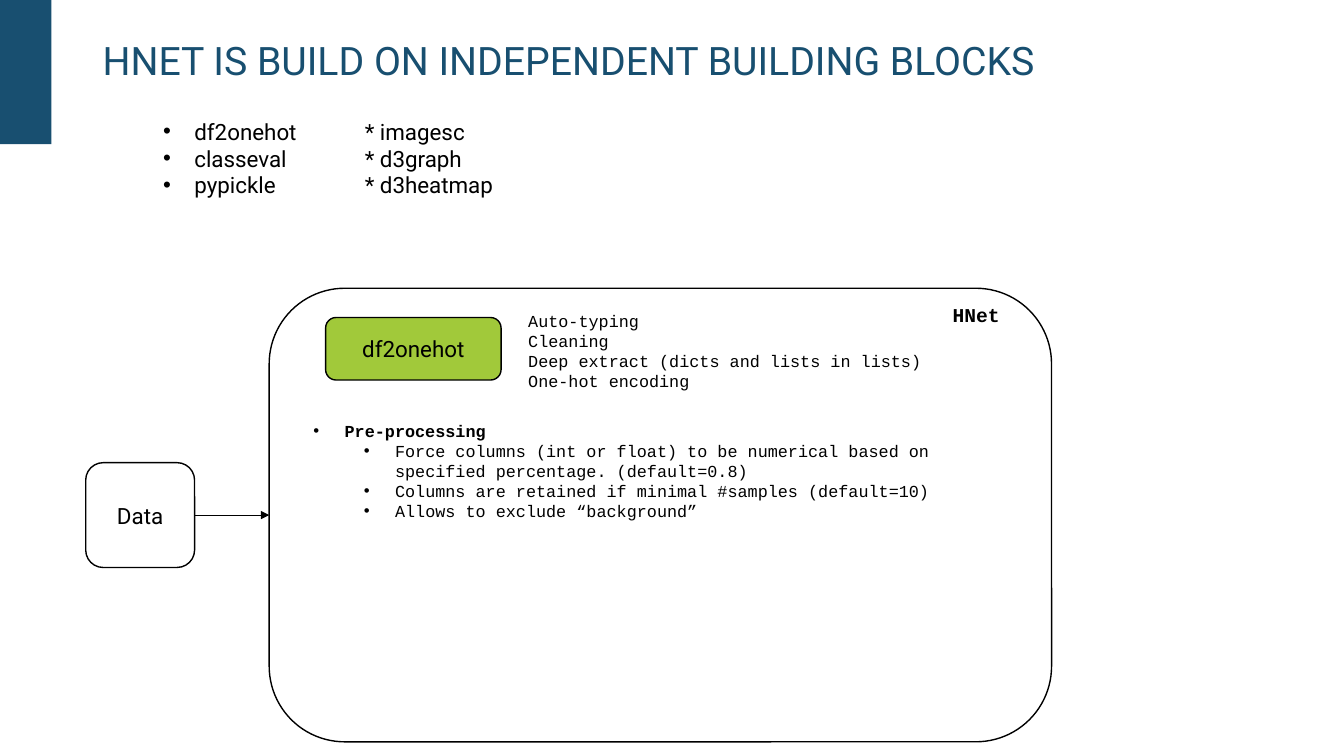
from lxml import etree
from pptx import Presentation
from pptx.dml.color import RGBColor
from pptx.enum.shapes import MSO_CONNECTOR, MSO_SHAPE
from pptx.enum.text import MSO_ANCHOR, PP_ALIGN
from pptx.oxml.ns import qn
from pptx.util import Inches, Pt

RECT, ROUND = MSO_SHAPE.RECTANGLE, MSO_SHAPE.ROUNDED_RECTANGLE
STRAIGHT = MSO_CONNECTOR.STRAIGHT
TOP, MIDDLE = MSO_ANCHOR.TOP, MSO_ANCHOR.MIDDLE
LEFT, CENTER = PP_ALIGN.LEFT, PP_ALIGN.CENTER
BLUE = RGBColor(0x18, 0x4F, 0x70)
GREEN = RGBColor(0xA1, 0xC9, 0x3A)
BLACK = RGBColor(0, 0, 0)
SANS, MONO = "Roboto", "Courier New"

PACKAGES = [("df2onehot", "imagesc"), ("classeval", "d3graph"), ("pypickle", "d3heatmap")]
FEATURES = ["Auto-typing", "Cleaning", "Deep extract (dicts and lists in lists)",
            "One-hot encoding"]
PREPROCESSING = [
    "Force columns (int or float) to be numerical based on specified percentage. (default=0.8)",
    "Columns are retained if minimal #samples (default=10)",
    "Allows to exclude “background”",
]


def add_run(p, text, size, font, color=BLACK, bold=False):
    """Add one formatted run to a paragraph."""
    r = p.add_run()
    r.text = text
    r.font.size = Pt(size)
    r.font.name = font
    r.font.color.rgb = color
    r.font.bold = bold


def set_bullet(p, level):
    """Give a paragraph a hanging bullet for its level."""
    p.level = level
    pPr = p._p.get_or_add_pPr()
    pPr.set("marL", str(Inches(0.31 + 0.5 * level)))
    pPr.set("indent", str(Inches(-0.31)))
    etree.SubElement(pPr, qn("a:buFont"), typeface="Arial")
    etree.SubElement(pPr, qn("a:buChar"), char="•")


def add_text(s, box, lines, size, font, color=BLACK, bold=False, levels=None, anchor=TOP):
    """Add a text box of lines, bulleted when levels are given."""
    tf = s.shapes.add_textbox(*map(Inches, box)).text_frame
    tf.word_wrap = True
    tf.vertical_anchor = anchor
    for i, line in enumerate(lines):
        p = tf.paragraphs[0] if i == 0 else tf.add_paragraph()
        p.alignment = LEFT
        if levels:
            set_bullet(p, levels[i])
        add_run(p, line, size, font, color, bold or (levels is not None and levels[i] == 0))
    return tf


def add_block(s, box, kind=ROUND, fill=None, line=BLACK, label=None):
    """Add a shape with an optional fill, outline and centred label."""
    sp = s.shapes.add_shape(kind, *map(Inches, box))
    sp.shadow.inherit = False
    if fill is None:
        sp.fill.background()
    else:
        sp.fill.solid()
        sp.fill.fore_color.rgb = fill
    if line is None:
        sp.line.fill.background()
    else:
        sp.line.color.rgb = line
        sp.line.width = Pt(1)
    if label:
        sp.text_frame.vertical_anchor = MIDDLE
        p = sp.text_frame.paragraphs[0]
        p.alignment = CENTER
        add_run(p, label, 16, SANS)
    return sp


def add_arrow(s, start, end):
    """Add a thin arrow between two points."""
    c = s.shapes.add_connector(STRAIGHT, *map(Inches, (*start, *end)))
    c.line.color.rgb = BLACK
    c.line.width = Pt(0.5)
    etree.SubElement(c.line._get_or_add_ln(), qn("a:tailEnd"), type="triangle")
    etree.SubElement(c._element.spPr, qn("a:effectLst"))


def add_header(s, x, y, w, h):
    """Add the corner bar and the slide title."""
    add_block(s, (x, y, 0.51, h), RECT, BLUE, None)
    tf = add_text(s, (x + 0.92, y + 0.28, w - 1.83, 0.69),
                  ["HNET IS BUILD ON INDEPENDENT BUILDING BLOCKS"], 28, SANS, BLUE, anchor=MIDDLE)
    tf.paragraphs[0].line_spacing = 0.9


def add_packages(s, x, y, w, h):
    """Add the list of packages in two tabbed columns."""
    lines = [f"{first}\t\t* {second}" for first, second in PACKAGES]
    add_text(s, (x, y, w, h), lines, 16, SANS, levels=[1] * len(lines))


def add_hnet(s, x, y, w, h):
    """Add the HNet frame with its first building block."""
    add_block(s, (x, y, w, h))
    add_block(s, (x + 0.56, y + 0.29, 1.74, 0.62), fill=GREEN, label="df2onehot")
    add_text(s, (x + 2.47, y + 0.17, 5.01, 0.91), FEATURES, 12, MONO)
    add_text(s, (x + 0.34, y + 1.26, 7.08, 1.11), ["Pre-processing", *PREPROCESSING],
             12, MONO, levels=[0] + [1] * len(PREPROCESSING))
    add_text(s, (x + w - 1.08, y + 0.1, 0.75, 0.34), ["HNet"], 14, MONO, bold=True)


def add_data(s, x, y, w, h, target):
    """Add the data block and its arrow to the target edge."""
    add_block(s, (x, y, w, h), label="Data")
    add_arrow(s, (x + w, y + h / 2), (target, y + h / 2))


def main():
    """Build and save the slide."""
    prs = Presentation()
    prs.slide_width, prs.slide_height = Inches(13.33), Inches(7.5)
    s = prs.slides.add_slide(prs.slide_layouts[6])
    add_header(s, 0, 0, 13.33, 1.43)
    add_packages(s, 1.02, 1.12, 9, 1.51)
    add_hnet(s, 2.67, 2.86, 7.76, 4.5)
    add_data(s, 0.85, 4.59, 1.08, 1.04, target=2.67)
    prs.save("out.pptx")


main()
